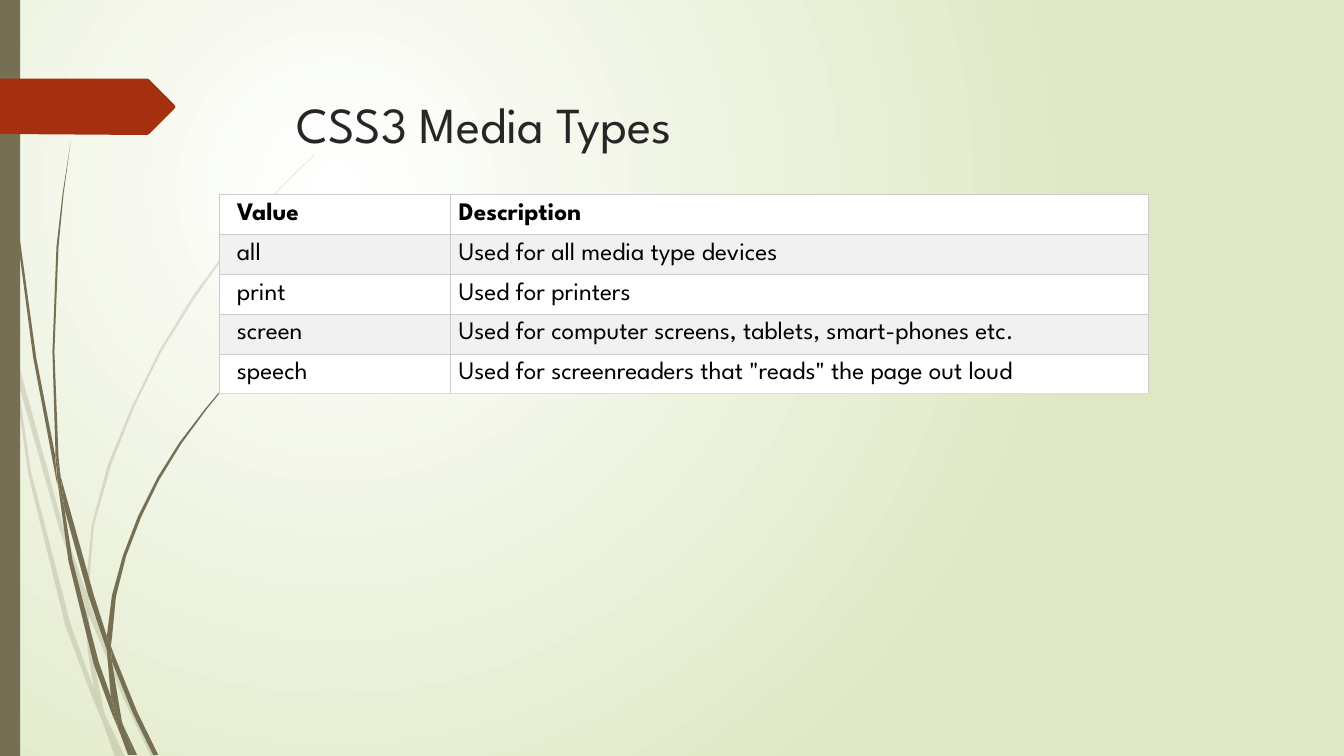
from dataclasses import dataclass

from pptx import Presentation, util as u
from pptx.dml.color import RGBColor
from pptx.enum import shapes, text
from pptx.oxml import parse_xml
from pptx.oxml.ns import nsdecls, qn


@dataclass(frozen=True)
class Theme:
    """Hold the colours, font and type sizes."""
    font: str = "League Spartan"
    head: int = 36
    body: int = 18
    ink: str = "262626"
    black: str = "000000"
    white: str = "FFFFFF"
    band: str = "F1F1F1"
    rule: str = "CCCCCC"
    foot: str = "DDDDDD"
    olive: str = "766F54"
    red: str = "A53010"
    glow: str = "DFE8C4"


LOOK = Theme()
UNIT = u.Inches(0.01)

PALE = [
    [(11, 350), (9, 322), (0, 282), (0, 299), (10, 344)],
    [(58, 522), (84, 599), (85, 586), (62, 520), (14, 345), (17, 376)],
    [(92, 607), (88, 596), (88, 610), (123, 694), (150, 751), (155, 751),
     (127, 692)],
    [(119, 751), (124, 751), (105, 711)],
    [(93, 683), (70, 619), (31, 469), (17, 376), (11, 350), (28, 470),
     (65, 621), (92, 693), (101, 714), (99, 707)],
    [(84, 599), (87, 646), (93, 683), (96, 692), (105, 711), (103, 706),
     (91, 646), (88, 610), (88, 608)],
    [(88, 584), (93, 522), (110, 462), (133, 404), (160, 349), (193, 296),
     (229, 245), (268, 198), (290, 175), (312, 154), (312, 153), (289, 175),
     (268, 197), (228, 244), (191, 294), (158, 348), (131, 403), (107, 461),
     (91, 521), (85, 584), (85, 586), (88, 596)],
    [(101, 714), (114, 751), (119, 751)],
    [(88, 608), (88, 610), (88, 596), (85, 586), (84, 599)],
    [(96, 692), (93, 683), (99, 707), (101, 714), (119, 751), (105, 711)],
]

DARK = [
    [(7, 110), (17, 233), (33, 355), (56, 477), (57, 481), (55, 457),
     (55, 453), (36, 355), (19, 232), (8, 109), (5, 48), (4, 0), (3, 0),
     (4, 48)],
    [(88, 592), (106, 645), (106, 631), (93, 590), (60, 472), (64, 505)],
    [(113, 649), (110, 641), (111, 656), (132, 708), (152, 749), (157, 749),
     (136, 706)],
    [(110, 691), (98, 657), (72, 556), (64, 505), (57, 477), (68, 557),
     (93, 659), (111, 708), (117, 722), (116, 717)],
    [(60, 472), (58, 453), (54, 349), (58, 245), (63, 193), (70, 141),
     (62, 193), (56, 245), (52, 349), (55, 449)],
    [(133, 749), (136, 749), (122, 719)],
    [(57, 477), (64, 505), (60, 472), (55, 449), (55, 453)],
    [(111, 633), (115, 592), (125, 552), (140, 513), (158, 476), (180, 440),
     (205, 406), (231, 374), (245, 359), (261, 344), (260, 344), (245, 358),
     (231, 373), (204, 405), (178, 439), (156, 474), (137, 512), (122, 551),
     (111, 591), (106, 631), (110, 641)],
    [(117, 722), (127, 749), (131, 749)],
    [(106, 645), (110, 691), (116, 706), (122, 719), (121, 716), (111, 656),
     (109, 651)],
    [(106, 645), (109, 651), (111, 656), (110, 641), (106, 631)],
    [(116, 706), (110, 691), (116, 717), (117, 722), (130, 749), (133, 749),
     (122, 719)],
]

FLAG = [(0, 0), (146, 0), (148, 1), (173, 26), (174, 28), (173, 30),
        (148, 55), (146, 56), (0, 55)]

ROWS = [
    ("Value", "Description"),
    ("all", "Used for all media type devices"),
    ("print", "Used for printers"),
    ("screen", "Used for computer screens, tablets, smart-phones etc."),
    ("speech", 'Used for screenreaders that "reads" the page out loud'),
]


def paint(shape, color, alpha=100):
    """Give a shape a flat fill without line or shadow."""
    shape.shadow.inherit = False
    shape.line.fill.background()
    shape.fill.solid()
    shape.fill.fore_color.rgb = RGBColor.from_string(color)
    if alpha < 100:
        tone = shape.element.spPr.find(qn("a:solidFill"))[0]
        tone.append(parse_xml(
            f'<a:alpha {nsdecls("a")} val="{alpha * 1000}"/>'))


def write(para, words, size, color, bold=False):
    """Add one styled run to a paragraph."""
    run = para.add_run()
    run.text = words
    run.font.name = LOOK.font
    run.font.size = u.Pt(size)
    run.font.bold = bold
    run.font.color.rgb = RGBColor.from_string(color)


def draw(slide, left, top, forms, color, alpha=100):
    """Draw closed outlines, in hundredths of an inch, from a corner."""
    for form in forms:
        pen = slide.shapes.build_freeform(*form[0], scale=UNIT)
        pen.add_line_segments(form[1:], close=True)
        paint(pen.convert_to_shape(u.Inches(left), u.Inches(top)),
              color, alpha)


def glow(slide):
    """Fill the background with a round gradient."""
    fill = slide.background.fill
    fill.gradient()
    for stop, color in zip(fill.gradient_stops, (LOOK.white, LOOK.glow)):
        stop.color.rgb = RGBColor.from_string(color)
    grad = slide.element.find(".//" + qn("a:gradFill"))
    grad.remove(grad.find(qn("a:lin")))
    grad.append(parse_xml(
        f'<a:path {nsdecls("a")} path="circle"><a:fillToRect l="50000" '
        't="50000" r="100000" b="100000"/></a:path>'))


def decor(slide, left, top, width, height):
    """Place the grass, side bar and red flag."""
    draw(slide, left, top, PALE, LOOK.olive, 20)
    draw(slide, left, top, DARK, LOOK.olive)
    bar = slide.shapes.add_shape(
        shapes.MSO_SHAPE.RECTANGLE, u.Inches(left), u.Inches(top),
        u.Inches(width), u.Inches(height))
    paint(bar, LOOK.olive)
    draw(slide, left, top + 0.78, [FLAG], LOOK.red)


def title(slide, left, top, width, height):
    """Set the title in its placeholder."""
    box = slide.shapes.title
    box.left, box.top = u.Inches(left), u.Inches(top)
    box.width, box.height = u.Inches(width), u.Inches(height)
    frame = box.text_frame
    frame.word_wrap = True
    frame.auto_size = text.MSO_AUTO_SIZE.NONE
    frame.vertical_anchor = text.MSO_ANCHOR.TOP
    frame.margin_top = u.Inches(0.24)
    para = frame.paragraphs[0]
    para.alignment = text.PP_ALIGN.LEFT
    write(para, "CSS3 Media Types", LOOK.head, LOOK.ink)


def edge(cell, last):
    """Rule the four sides of a cell."""
    props = cell._tc.get_or_add_tcPr()
    for side in "LRTB":
        color = LOOK.foot if last and side == "B" else LOOK.rule
        props.append(parse_xml(
            f'<a:ln{side} {nsdecls("a")} w="{u.Pt(0.75)}"><a:solidFill>'
            f'<a:srgbClr val="{color}"/></a:solidFill></a:ln{side}>'))


def grid(slide, left, top, width, height):
    """Build the table of media types."""
    table = slide.shapes.add_table(
        len(ROWS), 2, u.Inches(left), u.Inches(top),
        u.Inches(width), u.Inches(height)).table
    table.first_row = table.horz_banding = False
    first = 2.29
    for col, size in zip(table.columns, (first, width - first)):
        col.width = u.Inches(size)
    for i, row in enumerate(ROWS):
        for j, words in enumerate(row):
            cell = table.cell(i, j)
            edge(cell, i == len(ROWS) - 1)
            cell.fill.solid()
            cell.fill.fore_color.rgb = RGBColor.from_string(
                LOOK.band if i % 2 else LOOK.white)
            cell.margin_left = u.Inches(0.08 if j else 0.17)
            cell.margin_right = u.Inches(0.08)
            cell.margin_top = cell.margin_bottom = u.Inches(0.08)
            write(cell.text_frame.paragraphs[0], words,
                  LOOK.body, LOOK.black, i == 0)


deck = Presentation()
deck.slide_width, deck.slide_height = u.Inches(13.33), u.Inches(7.5)
page = deck.slides.add_slide(deck.slide_layouts[5])
glow(page)
decor(page, 0, 0, 0.2, 7.5)
title(page, 2.84, 0.68, 9.75, 1.4)
grid(page, 2.18, 1.93, 9.21, 1.98)
deck.save("out.pptx")
